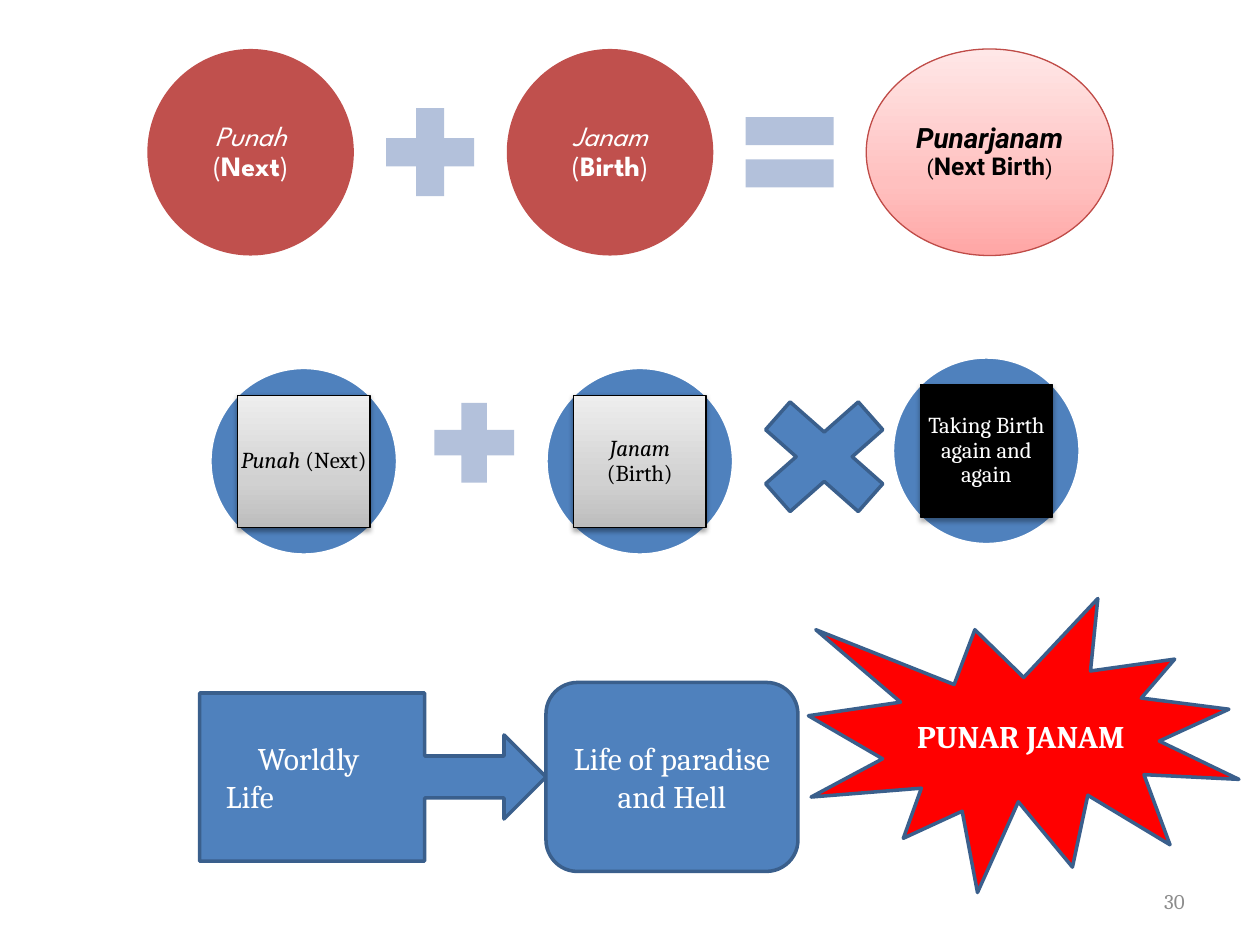
from lxml import etree
from pptx import Presentation
from pptx.dml.color import RGBColor
from pptx.enum import shapes, text
from pptx.oxml import parse_xml
from pptx.oxml.ns import qn
from pptx.util import Pt

MSO = shapes.MSO_SHAPE
ALIGN = text.PP_ALIGN
WHITE = RGBColor(0xFF, 0xFF, 0xFF)
BLACK = RGBColor(0, 0, 0)
BRICK = RGBColor(0xC0, 0x50, 0x4D)
BRICK_EDGE = RGBColor(0xBF, 0x4C, 0x48)
BLUE = RGBColor(0x4F, 0x81, 0xBD)
BLUE_EDGE = RGBColor(0x3A, 0x5F, 0x8C)
PALE_BLUE = RGBColor(0xB3, 0xC1, 0xDB)
RED = RGBColor(0xFF, 0, 0)
GREY = RGBColor(0x8C, 0x8C, 0x8C)
PINK_STOPS = [(0, "FFA6A5"), (35, "FFC0BF"), (100, "FFE7E7")]
GREY_STOPS = [(0, "BDBDBD"), (35, "D1D1D1"), (100, "EEEEEE")]
A_NS = 'xmlns:a="http://schemas.openxmlformats.org/drawingml/2006/main"'


def set_gradient(sp, stops):
    """Fill from bottom to top through (percent, hex colour) stops."""
    sp.fill.gradient()
    sp.fill.gradient_angle = 90
    gs_lst = sp._element.spPr.find(".//" + qn("a:gsLst"))
    for gs in list(gs_lst):
        gs_lst.remove(gs)
    for pos, color in stops:
        gs = etree.SubElement(gs_lst, qn("a:gs"), pos=str(pos * 1000))
        etree.SubElement(gs, qn("a:srgbClr"), val=color)


def add_shadow(sp, opacity, dist):
    effects = sp._element.spPr.find(qn("a:effectLst"))
    effects.append(parse_xml(
        f'<a:outerShdw {A_NS} blurRad="{Pt(3.1)}" dist="{Pt(dist)}" dir="5400000" '
        f'rotWithShape="0"><a:srgbClr val="000000"><a:alpha val="{opacity * 1000}"/>'
        '</a:srgbClr></a:outerShdw>'))


def add_shape(s, kind, x, y, w, h, fill, line=None, width=2):
    """Add a preset shape; fill is a colour or a list of gradient stops."""
    sp = s.shapes.add_shape(kind, Pt(x), Pt(y), Pt(w), Pt(h))
    sp.shadow.inherit = False
    if isinstance(fill, list):
        set_gradient(sp, fill)
    else:
        sp.fill.solid()
        sp.fill.fore_color.rgb = fill
    if line is None:
        sp.line.fill.background()
    else:
        sp.line.color.rgb = line
        sp.line.width = Pt(width)
    return sp


def write(sp, *runs, new=False, size=18, font="Cambria", color=WHITE,
          align=ALIGN.CENTER, spacing=None, inset=None):
    """Write one paragraph of runs, each a string or (string, font settings)."""
    tf = sp.text_frame
    tf.word_wrap = True
    tf.vertical_anchor = text.MSO_ANCHOR.MIDDLE
    if inset is not None:
        tf.margin_left = tf.margin_right = tf.margin_top = tf.margin_bottom = Pt(inset)
    p = tf.add_paragraph() if new else tf.paragraphs[0]
    p.alignment = align
    if spacing:
        p.line_spacing = spacing
    for run in runs:
        words, style = (run, {}) if isinstance(run, str) else run
        r = p.add_run()
        r.text = words
        r.font.name = font
        r.font.color.rgb = color
        r.font.size = Pt(style.get("size", size))
        r.font.bold = style.get("bold", False)
        r.font.italic = style.get("italic", False)
    return p


def add_term_circle(s, x, term, meaning):
    sp = add_shape(s, MSO.OVAL, x, 28, 118, 118, BRICK)
    write(sp, (term, {"italic": True}), " (", (meaning, {"bold": True}), ")",
          size=16, font="League Spartan", spacing=0.9, inset=1.4)


def add_framed_disc(s, x, y, runs, fill, color, opacity, dist):
    """Blue disc with a captioned square at its centre."""
    disc, square = 107.2, 75.6
    gap = (disc - square) / 2
    add_shape(s, MSO.OVAL, x, y, disc, disc, BLUE, WHITE)
    sp = add_shape(s, MSO.RECTANGLE, x + gap, y + gap, square, square, fill, BLACK, 0.75)
    add_shadow(sp, opacity, dist)
    write(sp, *runs, size=13, color=color, spacing=0.9, inset=1.4)


def add_word_equation(s):
    left, pitch = 84.2, 205.4
    terms = [("Punah", "Next", MSO.MATH_PLUS), ("Janam", "Birth", MSO.MATH_EQUAL)]
    for i, (term, meaning, sign) in enumerate(terms):
        x = left + i * pitch
        add_term_circle(s, x, term, meaning)
        add_shape(s, sign, x + 127.4, 52.8, 68.4, 68.4, PALE_BLUE)
    result = add_shape(s, MSO.OVAL, left + 2 * pitch, 28, 141, 118,
                       PINK_STOPS, BRICK_EDGE, 0.75)
    write(result, ("Punarjanam", {"size": 16, "bold": True, "italic": True}), " (",
          ("Next Birth", {"size": 14, "bold": True}), ")",
          size=12, font="Roboto", color=BLACK, spacing=0.9, inset=1.4)


def add_rebirth_row(s):
    italic = {"italic": True}
    for x, term, meaning in [(120, "Punah", " (Next)"), (312, "Janam", " (Birth)")]:
        add_framed_disc(s, x, 210, [(term, italic), meaning], GREY_STOPS, BLACK, 38, 1.6)
    add_framed_disc(s, 510, 204, ["Taking Birth again and again"], BLACK, WHITE, 35, 1.8)
    add_shape(s, MSO.MATH_PLUS, 240, 222, 62, 62, PALE_BLUE)


def add_life_row(s):
    worldly = add_shape(s, MSO.RIGHT_ARROW_CALLOUT, 114, 396, 198, 96, BLUE, BLUE_EDGE)
    write(worldly, "Worldly ")
    p = write(worldly, "Life", new=True, align=ALIGN.LEFT)
    p._p.get_or_add_pPr().set("marL", str(Pt(8)))
    afterlife = add_shape(s, MSO.ROUNDED_RECTANGLE, 312, 390, 144, 108, BLUE, BLUE_EDGE)
    write(afterlife, "Life of paradise and Hell")
    burst = add_shape(s, MSO.EXPLOSION1, 462, 342, 246, 168, RED, BLUE_EDGE)
    write(burst, ("PUNAR JANAM", {"bold": True}))


def main():
    prs = Presentation()
    prs.slide_width, prs.slide_height = Pt(720), Pt(540)
    s = prs.slides.add_slide(prs.slide_layouts[6])
    add_word_equation(s)
    add_rebirth_row(s)
    add_life_row(s)
    add_shape(s, MSO.MATH_MULTIPLY, 420, 216, 102, 90, BLUE, BLUE_EDGE)
    number = s.shapes.add_textbox(Pt(516), Pt(500.5), Pt(168), Pt(28.8))
    write(number, "30", size=12, color=GREY, align=ALIGN.RIGHT)
    prs.save("out.pptx")


if __name__ == "__main__":
    main()
